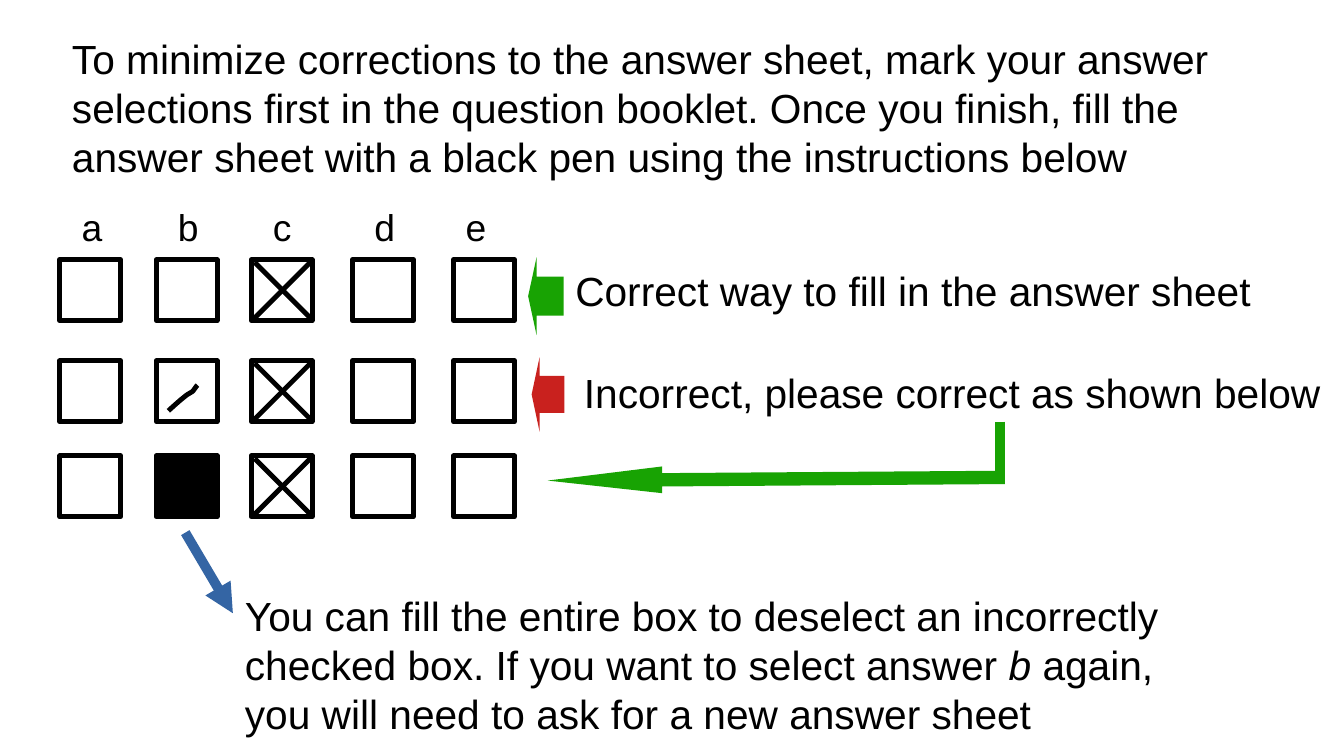
from dataclasses import dataclass

from lxml.etree import SubElement
from pptx import Presentation
from pptx.dml.color import RGBColor as RGB
from pptx.enum.shapes import MSO_CONNECTOR as Connector, MSO_SHAPE as Shape
from pptx.enum.text import MSO_ANCHOR as Anchor, MSO_AUTO_SIZE as AutoSize, PP_ALIGN as Align
from pptx.oxml.ns import qn
from pptx.util import Pt


@dataclass(frozen=True)
class Theme:
    font: str = "Arial"
    ink: RGB = RGB(0, 0, 0)
    right: RGB = RGB(0x18, 0xA3, 0x03)
    wrong: RGB = RGB(0xC9, 0x21, 0x1E)
    pointer: RGB = RGB(0x34, 0x65, 0xA4)
    body_size: float = 24
    letter_size: float = 22
    pen: float = 2.89
    thick: float = 5.75


class SheetGuide:
    def __init__(self, slide, theme):
        self.slide = slide
        self.theme = theme

    def apply(self, target, formats):
        for name, value in formats.items():
            setattr(target, name, value)

    def typeset(self, frame, runs, size):
        self.apply(frame, {"word_wrap": True, "auto_size": AutoSize.NONE,
                           "vertical_anchor": Anchor.TOP})
        paragraph = frame.paragraphs[0]
        paragraph.alignment = Align.LEFT
        for wording, italic in runs:
            run = paragraph.add_run()
            run.text = wording
            self.apply(run.font, {"name": self.theme.font, "size": Pt(size), "italic": italic})
            run.font.color.rgb = self.theme.ink

    def title(self, wording, left, top, width, height):
        heading = self.slide.shapes.title
        self.apply(heading, {"left": Pt(left), "top": Pt(top),
                             "width": Pt(width), "height": Pt(height)})
        self.typeset(heading.text_frame, [(wording, False)], self.theme.body_size)

    def text(self, runs, left, top, width, height, size=None):
        note = self.slide.shapes.add_textbox(Pt(left), Pt(top), Pt(width), Pt(height))
        self.typeset(note.text_frame, runs, size or self.theme.body_size)

    def outline(self, line, color, width):
        line.color.rgb = color
        line.width = Pt(width)

    def box(self, left, top, side, filled=False):
        answer = self.slide.shapes.add_shape(Shape.RECTANGLE, Pt(left), Pt(top), Pt(side), Pt(side))
        answer.shadow.inherit = False
        if filled:
            answer.fill.solid()
            answer.fill.fore_color.rgb = self.theme.ink
        else:
            answer.fill.background()
        self.outline(answer.line, self.theme.ink, self.theme.pen)

    def block_arrow(self, color, left, top, width, height, head, rotation=0):
        arrow = self.slide.shapes.add_shape(Shape.LEFT_ARROW, Pt(left), Pt(top), Pt(width), Pt(height))
        arrow.shadow.inherit = False
        arrow.adjustments[0] = 0.5
        arrow.adjustments[1] = head / min(width, height)
        arrow.rotation = rotation
        arrow.fill.solid()
        arrow.fill.fore_color.rgb = color
        arrow.line.fill.background()

    def line(self, start, end, color, width, arrowhead=False):
        stroke = self.slide.shapes.add_connector(
            Connector.STRAIGHT, *(Pt(value) for value in (*start, *end)))
        self.outline(stroke.line, color, width)
        properties = stroke._element.spPr
        if arrowhead:
            SubElement(properties.find(qn("a:ln")), qn("a:tailEnd"), type="triangle")
        SubElement(properties, qn("a:effectLst"))

    def cross(self, left, top, side):
        right, bottom = left + side, top + side
        for start, end in (((left, top), (right, bottom)), ((left, bottom), (right, top))):
            self.line(start, end, self.theme.ink, self.theme.pen)

    def pen_mark(self, points):
        corners = [(Pt(x), Pt(y)) for x, y in points]
        builder = self.slide.shapes.build_freeform(*corners[0])
        builder.add_line_segments(corners[1:], close=False)
        mark = builder.convert_to_shape()
        mark.shadow.inherit = False
        mark.fill.background()
        self.outline(mark.line, self.theme.ink, self.theme.pen)


def main():
    deck = Presentation()
    deck.slide_width, deck.slide_height = Pt(793.5), Pt(446.5)
    theme = Theme()
    guide = SheetGuide(deck.slides.add_slide(deck.slide_layouts[5]), theme)

    guide.title(
        "To minimize corrections to the answer sheet, mark your answer selections first in the "
        "question booklet. Once you finish, fill the answer sheet with a black pen using the "
        "instructions below", 35.3, 16.6, 738.7, 87.1)

    side = 36
    columns = {"a": 35.3, "b": 92.2, "c": 148.3, "d": 208.1, "e": 267.8}
    letter_shift = {"e": 0}
    correct_row, incorrect_row, fixed_row = rows = (153.4, 213.1, 269.3)
    for letter, left in columns.items():
        guide.text([(letter, False)], left + letter_shift.get(letter, 5.8), 117.4,
                   side, 31.7, theme.letter_size)
        for top in rows:
            guide.box(left, top, side, filled=(letter, top) == ("b", fixed_row))
    for top in rows:
        guide.cross(columns["c"] + 2, top + 1.5, 33)
    guide.pen_mark([(99.4, 242.6), (103.2, 239.2), (106.6, 236.2), (110.2, 233.3),
                    (113.8, 231.1), (115.9, 228.2), (116.6, 227.5)])

    guide.block_arrow(theme.right, 311.8, 151.9, 20.9, 46.1, 5)
    guide.text([("Correct way to fill in the answer sheet", False)],
               332.6, correct_row, 420.5, 60.5)
    guide.block_arrow(theme.wrong, 313.9, 211, 19.4, 43.9, 4.7)
    guide.text([("Incorrect, please correct as shown below", False)],
               337.7, incorrect_row + 0.7, 455.8, 60.5)

    guide.block_arrow(theme.right, 323.3, 275, 270, 15.8, 67.7, rotation=359.6)
    guide.line((590.4, 249.1), (590.4, 280.8), theme.right, theme.thick)

    guide.line((109.4, 314.6), (137.5, 362.2), theme.pointer, theme.thick, arrowhead=True)
    guide.text([
        ("You can fill the entire box to deselect an incorrectly checked box. "
         "If you want to select answer ", False),
        ("b", True),
        (" again, you will need to ask for a new answer sheet", False),
    ], 137.5, 345.6, 594, 90)

    deck.save("out.pptx")


if __name__ == "__main__":
    main()
